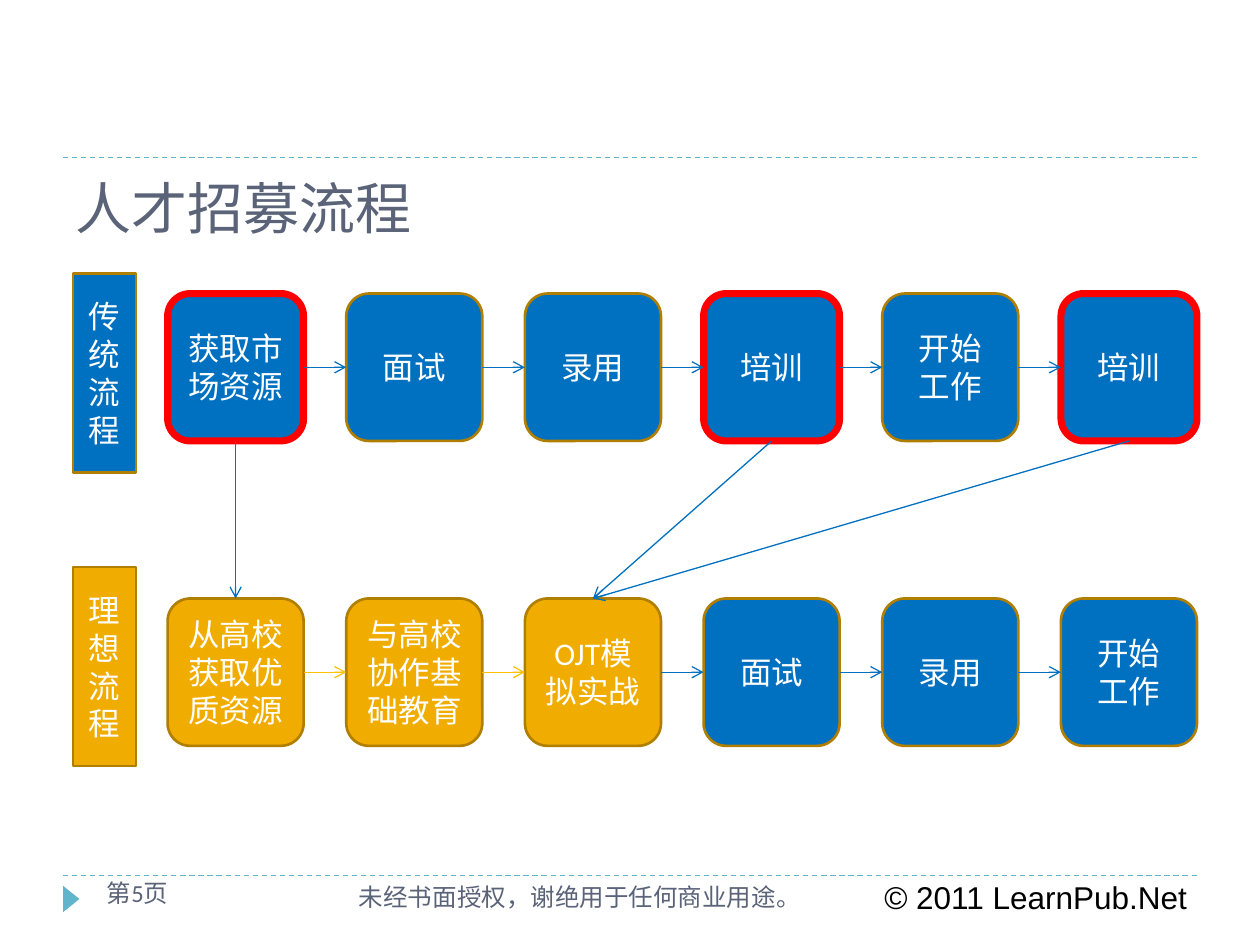
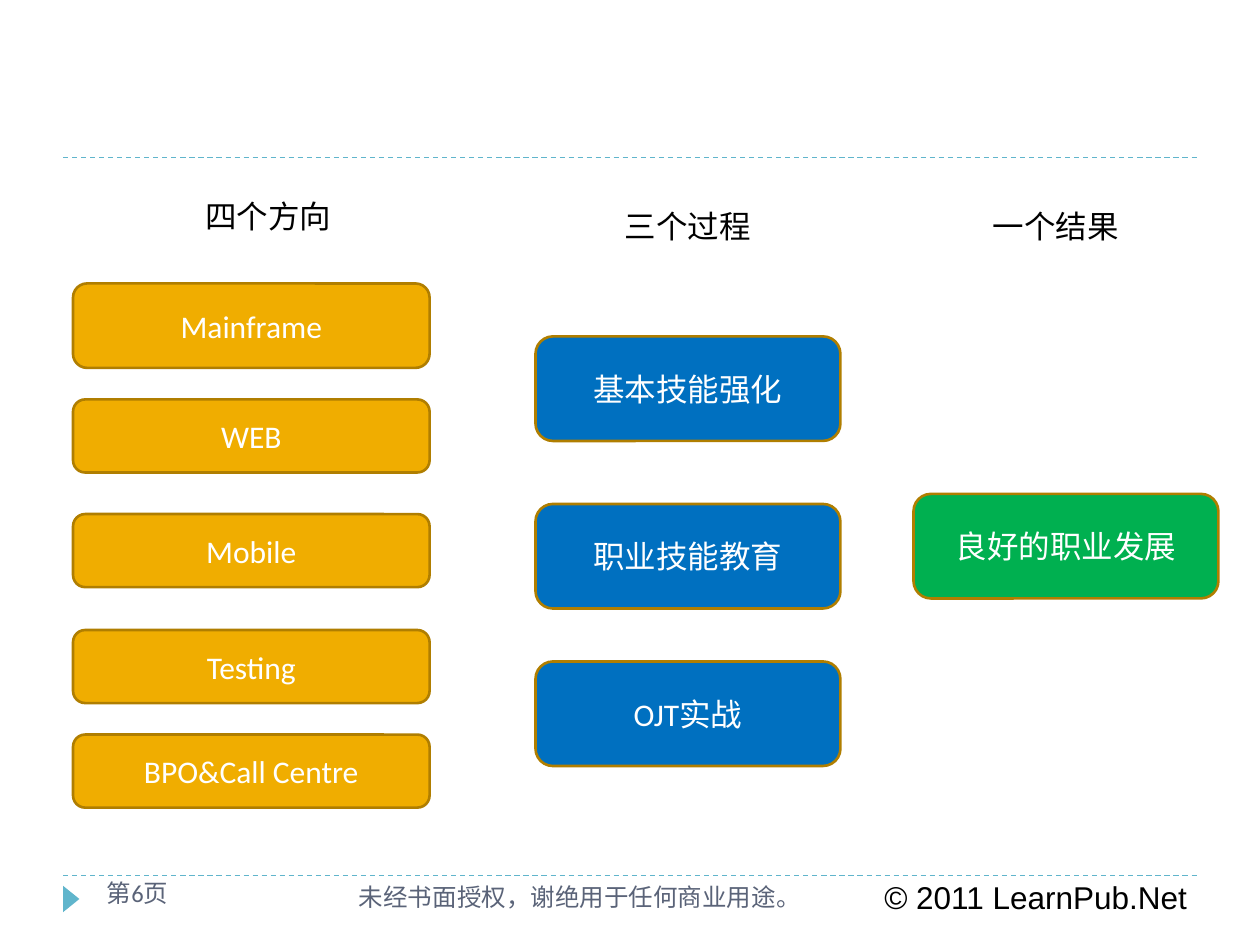
from pptx import Presentation
from pptx.dml.color import RGBColor
from pptx.enum.dml import MSO_LINE
from pptx.enum.shapes import MSO_CONNECTOR, MSO_SHAPE
from pptx.enum.text import MSO_ANCHOR, PP_ALIGN
from pptx.oxml.ns import qn
from pptx.util import Inches, Pt
from lxml import etree

# Enum members
STRAIGHT = MSO_CONNECTOR.STRAIGHT
DASH = MSO_LINE.DASH
ROUND = MSO_SHAPE.FLOWCHART_ALTERNATE_PROCESS
RECT = MSO_SHAPE.FLOWCHART_PROCESS
WEDGE = MSO_SHAPE.ISOSCELES_TRIANGLE
LEFT, CENTER = PP_ALIGN.LEFT, PP_ALIGN.CENTER
TOP_SIDE, LEFT_SIDE, LOW_SIDE, RIGHT_SIDE = range(4)

# Colours
BLUE, GOLD, GREEN = "0070C0", "F0AD00", "00B050"
EDGE, RED, AMBER = "B07E00", "FF0000", "FFC000"
TEAL, SLATE, BLACK, WHITE = "60B5CC", "5A6378", "000000", "FFFFFF"

# Text formats
BODY = {"name": "Calibri", "size": Pt(18)}
FOOT = {"name": "Calibri", "size": Pt(14)}
TITLE = {"name": "Roboto Slab", "size": Pt(32)}
MARK = {"name": "Arial", "size": Pt(18)}

# Flow grid
FIRST, LAST, STEPS = 1.33, 8.42, 6
PITCH = (LAST - FIRST) / (STEPS - 1)
OLD_TOP, NEW_TOP = 2.33, 4.75
OLD_FLOW = ["获取市场资源", "面试", "录用", "培训", "开始\n工作", "培训"]
NEW_FLOW = ["从高校获取优质资源", "与高校协作基础教育", "OJT模拟实战",
            "面试", "录用", "开始\n工作"]
KEY_STEPS = (0, 3, 5)
GOLD_STEPS = (0, 1, 2)
MOVES = [(0, 0), (3, 2), (5, 2)]

# Columns of the second slide: (text, top, height)
FIELDS = [("Mainframe", 2.25, 0.67), ("WEB", 3.17, 0.58),
          ("Mobile", 4.08, 0.58), ("Testing", 5, 0.58),
          ("BPO&Call Centre", 5.83, 0.58)]
STAGES = [("基本技能强化", 2.67, 0.83), ("职业技能教育", 4, 0.83),
          ("OJT实战", 5.25, 0.83)]
RESULT = [("良好的职业发展", 3.92, 0.83)]
HEADS = [("四个方向", 0.92, 1.42), ("三个过程", 4.25, 1.5),
         ("一个结果", 7.17, 1.5)]


def rgb(code):
    return RGBColor.from_string(code)


def write(frame, text, form, color, align=LEFT):
    frame.word_wrap = True
    frame.text = text
    for para in frame.paragraphs:
        para.alignment = align
        for key, value in form.items():
            setattr(para.font, key, value)
        para.font.color.rgb = rgb(color)


def add_text(slide, text, at, form, color):
    box = slide.shapes.add_textbox(*map(Inches, at))
    write(box.text_frame, text, form, color)


def add_box(slide, kind, at, fill, edge=None, width=1.5):
    box = slide.shapes.add_shape(kind, *map(Inches, at))
    box.shadow.inherit = False
    box.fill.solid()
    box.fill.fore_color.rgb = rgb(fill)
    if edge:
        box.line.color.rgb = rgb(edge)
        box.line.width = Pt(width)
    else:
        box.line.fill.background()
    return box


def add_label(slide, text, kind, at, fill, edge=EDGE, width=1.5, color=WHITE):
    box = add_box(slide, kind, at, fill, edge, width)
    box.text_frame.vertical_anchor = MSO_ANCHOR.MIDDLE
    write(box.text_frame, text, BODY, color, CENTER)
    return box


def add_line(slide, color, ends=(0, 0, 0, 0)):
    line = slide.shapes.add_connector(STRAIGHT, *map(Inches, ends))
    line.line.color.rgb = rgb(color)
    line.line.width = Pt(0.75)
    etree.SubElement(line._element.spPr, qn("a:effectLst"))
    return line


def add_arrow(slide, start, side, end, goal, color=BLUE):
    line = add_line(slide, color)
    line.begin_connect(start, side)
    line.end_connect(end, goal)
    tail = etree.SubElement(line.line._get_or_add_ln(), qn("a:tailEnd"))
    tail.set("type", "arrow")


def add_page(deck, number):
    """Add a blank slide with the shared rules and footer."""
    slide = deck.slides.add_slide(deck.slide_layouts[6])
    for y in (6.95, 1.25):
        add_line(slide, TEAL, (0.5, y, 9.5, y)).line.dash_style = DASH
    add_box(slide, WEDGE, (0.46, 7.07, 0.21, 0.13), TEAL).rotation = 90
    add_text(slide, "© 2011 LearnPub.Net", (6.92, 6.92, 2.67, 0.4), MARK, BLACK)
    add_text(slide, "未经书面授权，谢绝用于任何商业用途。",
             (2.75, 6.95, 4, 0.4), FOOT, SLATE)
    add_text(slide, f"第{number}页", (0.75, 6.92, 1.66, 0.4), FOOT, SLATE)
    return slide


def add_flow(slide, texts, top, gold=(), key=()):
    """Draw one row of steps joined by arrows."""
    boxes = []
    for i, text in enumerate(texts):
        fill = GOLD if i in gold else BLUE
        edge, width = (RED, 4) if i in key else (EDGE, 1.5)
        at = (FIRST + i * PITCH, top, 1.08, 1.17)
        boxes.append(add_label(slide, text, ROUND, at, fill, edge, width))
    for i, (start, end) in enumerate(zip(boxes, boxes[1:])):
        color = AMBER if i + 1 in gold else BLUE
        add_arrow(slide, start, RIGHT_SIDE, end, LEFT_SIDE, color)
    return boxes


def add_stack(slide, items, left, width, fill):
    for text, top, height in items:
        add_label(slide, text, ROUND, (left, top, width, height), fill)


def hire_slide(deck):
    slide = add_page(deck, 5)
    add_text(slide, "人才招募流程", (0.5, 1.33, 9, 0.58), TITLE, SLATE)
    # Row names
    add_label(slide, "传统流程", RECT, (0.58, 2.17, 0.5, 1.58), BLUE)
    add_label(slide, "理想流程", RECT, (0.58, 4.5, 0.5, 1.58), GOLD)
    # Rows, then the steps that move between them
    old = add_flow(slide, OLD_FLOW, OLD_TOP, key=KEY_STEPS)
    new = add_flow(slide, NEW_FLOW, NEW_TOP, gold=GOLD_STEPS)
    for start, end in MOVES:
        add_arrow(slide, old[start], LOW_SIDE, new[end], TOP_SIDE)


def path_slide(deck):
    slide = add_page(deck, 6)
    for text, left, top in HEADS:
        add_label(slide, text, RECT, (left, top, 2.42, 0.58), WHITE,
                  edge=None, color=BLACK)
    add_stack(slide, FIELDS, 0.58, 2.83, GOLD)
    add_stack(slide, STAGES, 4.25, 2.42, BLUE)
    add_stack(slide, RESULT, 7.25, 2.42, GREEN)


def main():
    deck = Presentation()
    deck.slide_width, deck.slide_height = Inches(10), Inches(7.5)
    hire_slide(deck)
    path_slide(deck)
    deck.save("out.pptx")


if __name__ == "__main__":
    main()
